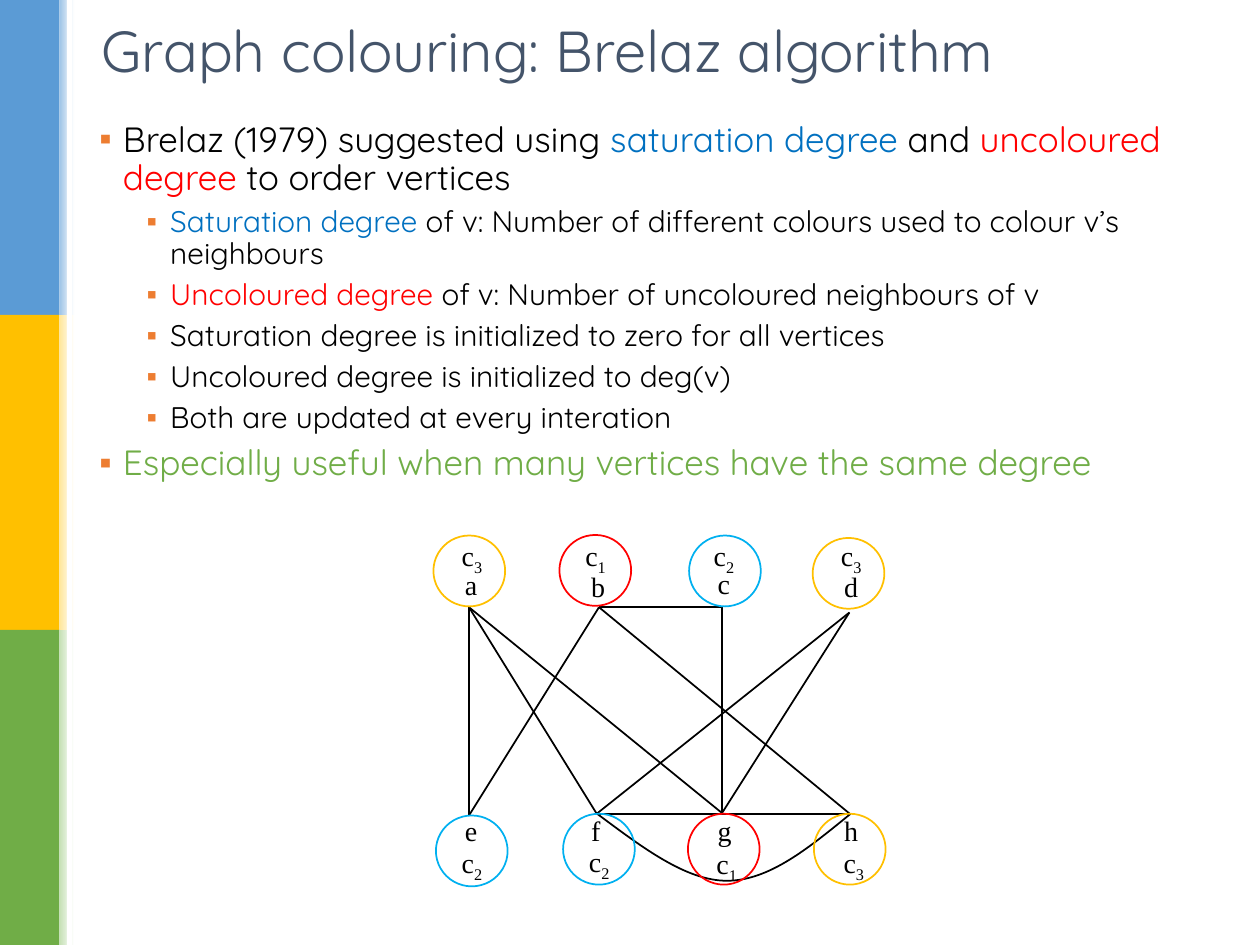
import pptx
import pptx.dml.color
import pptx.enum.shapes
import pptx.enum.text
import pptx.oxml.ns
import pptx.util
from lxml import etree

Pt = pptx.util.Pt
RGBColor = pptx.dml.color.RGBColor
MSO_SHAPE = pptx.enum.shapes.MSO_SHAPE
PP_ALIGN = pptx.enum.text.PP_ALIGN
qn = pptx.oxml.ns.qn

BLACK = RGBColor(0x00, 0x00, 0x00)
WHITE = RGBColor(0xFF, 0xFF, 0xFF)
SLATE = RGBColor(0x44, 0x54, 0x6A)
ORANGE = RGBColor(0xED, 0x7D, 0x31)
BLUE = RGBColor(0x00, 0x70, 0xC0)
SKY = RGBColor(0x00, 0xB0, 0xF0)
RED = RGBColor(0xFF, 0x00, 0x00)
AMBER = RGBColor(0xFF, 0xC0, 0x00)
GREEN = RGBColor(0x70, 0xAD, 0x47)

TITLE = "Graph colouring: Brelaz algorithm"
# (level, [(text, colour), ...])
BULLETS = [
    (0, [("Brelaz (1979) suggested using ", BLACK), ("saturation degree ", BLUE),
         ("and ", BLACK), ("uncoloured degree ", RED), ("to order vertices", BLACK)]),
    (1, [("Saturation degree", BLUE),
         (" of v: Number of different colours used to colour v’s neighbours", BLACK)]),
    (1, [("Uncoloured degree ", RED), ("of v: Number of uncoloured neighbours of v", BLACK)]),
    (1, [("Saturation degree is initialized to zero for all vertices", BLACK)]),
    (1, [("Uncoloured degree is initialized to deg(v)", BLACK)]),
    (1, [("Both are updated at every interation", BLACK)]),
    (0, [("Especially useful when many vertices have the same degree", GREEN)]),
]
LEVELS = [{"size": 20, "indent": 13.5}, {"size": 17, "indent": 40.5}]
HANGING = 13.5

# Side bands from top to bottom: (solid colour, light colour of the fading edge)
BANDS = [
    (RGBColor(0x5B, 0x9B, 0xD5), RGBColor(0x9D, 0xC3, 0xE6)),
    (AMBER, RGBColor(0xFF, 0xE6, 0x99)),
    (GREEN, RGBColor(0xC5, 0xE0, 0xB4)),
]
BAND_WIDTH, BAND_HEIGHT, FADE_WIDTH = 34, 180, 8.5

COLOUR_CLASSES = {"1": RED, "2": SKY, "3": AMBER}
# vertex: (column, colour class, circle corner, colour label corner, letter top, edge end)
VERTICES = {
    "a": (0, "3", (247.7, 306), (252.7, 306), 324.7, (268, 347)),
    "b": (1, "1", (319.7, 305.7), (323.3, 306), 325.4, (342.3, 347)),
    "c": (2, "2", (393.8, 306), (396.7, 306), 324, (412.6, 347)),
    "d": (3, "3", (464.4, 307.4), (469.4, 306), 325.4, (485.4, 350)),
    "e": (0, "2", (249.1, 466), (252.7, 481.7), 465.1, (268, 466)),
    "f": (1, "2", (321.8, 465), (325.4, 481), 465.1, (341, 465)),
    "g": (2, "1", (393.1, 465), (398.2, 482.4), 465.1, (412.6, 464.6)),
    "h": (3, "3", (465.1, 465), (470.9, 481.7), 465.1, (485.6, 465)),
}
EDGES = ["ae", "af", "cg", "ag", "bh", "dg", "df", "be", "cb", "hf"]
# Curved edge f-h: start, then control, control, end for each Bézier piece
CURVE = [(341.3, 465.1), (366.5, 483.8), (391.7, 503.3), (415.4, 503.3),
         (439.9, 503.3), (463, 483.8), (486, 465.1)]
LETTER_LEFT, COLUMN_STEP = 258.5, 72.25
CIRCLE_SIZE = (41, 40.5)


def add_shape(slide, kind, left, top, width, height):
    shape = slide.shapes.add_shape(kind, Pt(left), Pt(top), Pt(width), Pt(height))
    shape.shadow.inherit = False
    shape.line.fill.background()
    return shape


def add_text_frame(slide, left, top, width, height):
    frame = slide.shapes.add_textbox(Pt(left), Pt(top), Pt(width), Pt(height)).text_frame
    frame.word_wrap = True
    return frame


def set_font(paragraph, name, size, colour=None):
    paragraph.font.name = name
    paragraph.font.size = Pt(size)
    if colour is not None:
        paragraph.font.color.rgb = colour


def add_side_bands(slide):
    for row, (solid, light) in enumerate(BANDS):
        top = row * BAND_HEIGHT
        band = add_shape(slide, MSO_SHAPE.RECTANGLE, 0, top, BAND_WIDTH, BAND_HEIGHT)
        band.fill.solid()
        band.fill.fore_color.rgb = solid
        fade = add_shape(slide, MSO_SHAPE.RECTANGLE, BAND_WIDTH, top, FADE_WIDTH, BAND_HEIGHT)
        fade.fill.gradient()
        fade.fill.gradient_angle = 0
        for stop, colour in zip(fade.fill.gradient_stops, (light, WHITE)):
            stop.color.rgb = colour
    gap = add_shape(slide, MSO_SHAPE.RECTANGLE, 38.2, 0, 2.9, 540)
    gap.fill.solid()
    gap.fill.fore_color.rgb = WHITE


def add_title(slide):
    frame = add_text_frame(slide, 51, 6.5, 620.6, 49)
    frame.vertical_anchor = pptx.enum.text.MSO_ANCHOR.MIDDLE
    paragraph = frame.paragraphs[0]
    paragraph.text = TITLE
    paragraph.line_spacing = 0.9
    set_font(paragraph, "Quicksand", 33, SLATE)


def add_bullet_mark(paragraph, indent):
    properties = paragraph._p.get_or_add_pPr()
    properties.set("marL", str(Pt(indent)))
    properties.set("indent", str(-Pt(HANGING)))
    colour = etree.SubElement(properties, qn("a:buClr"))
    etree.SubElement(colour, qn("a:srgbClr")).set("val", str(ORANGE))
    etree.SubElement(properties, qn("a:buFont")).set("typeface", "Arial")
    etree.SubElement(properties, qn("a:buChar")).set("char", "▪")


def add_bullets(slide):
    frame = add_text_frame(slide, 49.7, 66.2, 644.4, 242.6)
    for index, (level, runs) in enumerate(BULLETS):
        paragraph = frame.add_paragraph() if index else frame.paragraphs[0]
        size = LEVELS[level]["size"]
        paragraph.level = level
        paragraph.line_spacing = 0.9
        paragraph.space_before = Pt(0.3 * size)
        add_bullet_mark(paragraph, LEVELS[level]["indent"])
        set_font(paragraph, "Quicksand", size)
        for text, colour in runs:
            run = paragraph.add_run()
            run.text = text
            run.font.color.rgb = colour


def add_edges(slide):
    for start, end in EDGES:
        points = [Pt(value) for vertex in (start, end) for value in VERTICES[vertex][-1]]
        edge = slide.shapes.add_connector(pptx.enum.shapes.MSO_CONNECTOR.STRAIGHT, *points)
        edge.line.color.rgb = BLACK
        edge.line.width = Pt(1)
        etree.SubElement(edge._element.spPr, qn("a:effectLst"))


def add_curved_edge(slide):
    """Draw the edge f-h, turning each three straight segments into one Bézier piece."""
    start, *others = [(Pt(x), Pt(y)) for x, y in CURVE]
    builder = slide.shapes.build_freeform(*start)
    builder.add_line_segments(others, close=False)
    curve = builder.convert_to_shape()
    curve.shadow.inherit = False
    curve.fill.background()
    curve.line.color.rgb = BLACK
    curve.line.width = Pt(1)
    segments = list(curve._element.iter(qn("a:lnTo")))
    outline = segments[0].getparent()
    for first in range(0, len(segments), 3):
        piece = etree.SubElement(outline, qn("a:cubicBezTo"))
        for segment in segments[first:first + 3]:
            piece.append(segment[0])
            outline.remove(segment)


def add_label(slide, left, top, width, text, subscript=""):
    paragraph = add_text_frame(slide, left, top, width, 23).paragraphs[0]
    paragraph.line_spacing = 0.8
    paragraph.space_before = Pt(3.2)
    set_font(paragraph, "Times New Roman", 16, BLACK)
    paragraph.add_run().text = text
    if subscript:
        paragraph.alignment = PP_ALIGN.CENTER
        run = paragraph.add_run()
        run.text = subscript
        run._r.get_or_add_rPr().set("baseline", "-25000")


def add_vertices(slide):
    for letter, (column, number, corner, label, letter_top, _) in VERTICES.items():
        add_label(slide, LETTER_LEFT + column * COLUMN_STEP, letter_top, 22.6, letter)
        add_label(slide, *label, 34, "c", number)
        circle = add_shape(slide, MSO_SHAPE.OVAL, *corner, *CIRCLE_SIZE)
        circle.fill.background()
        circle.line.color.rgb = COLOUR_CLASSES[number]
        circle.line.width = Pt(1)


def main():
    presentation = pptx.Presentation()
    presentation.slide_width, presentation.slide_height = Pt(720), Pt(540)
    slide = presentation.slides.add_slide(presentation.slide_layouts[6])
    add_side_bands(slide)
    add_title(slide)
    add_edges(slide)
    add_curved_edge(slide)
    add_vertices(slide)
    add_bullets(slide)
    presentation.save("out.pptx")


if __name__ == "__main__":
    main()
